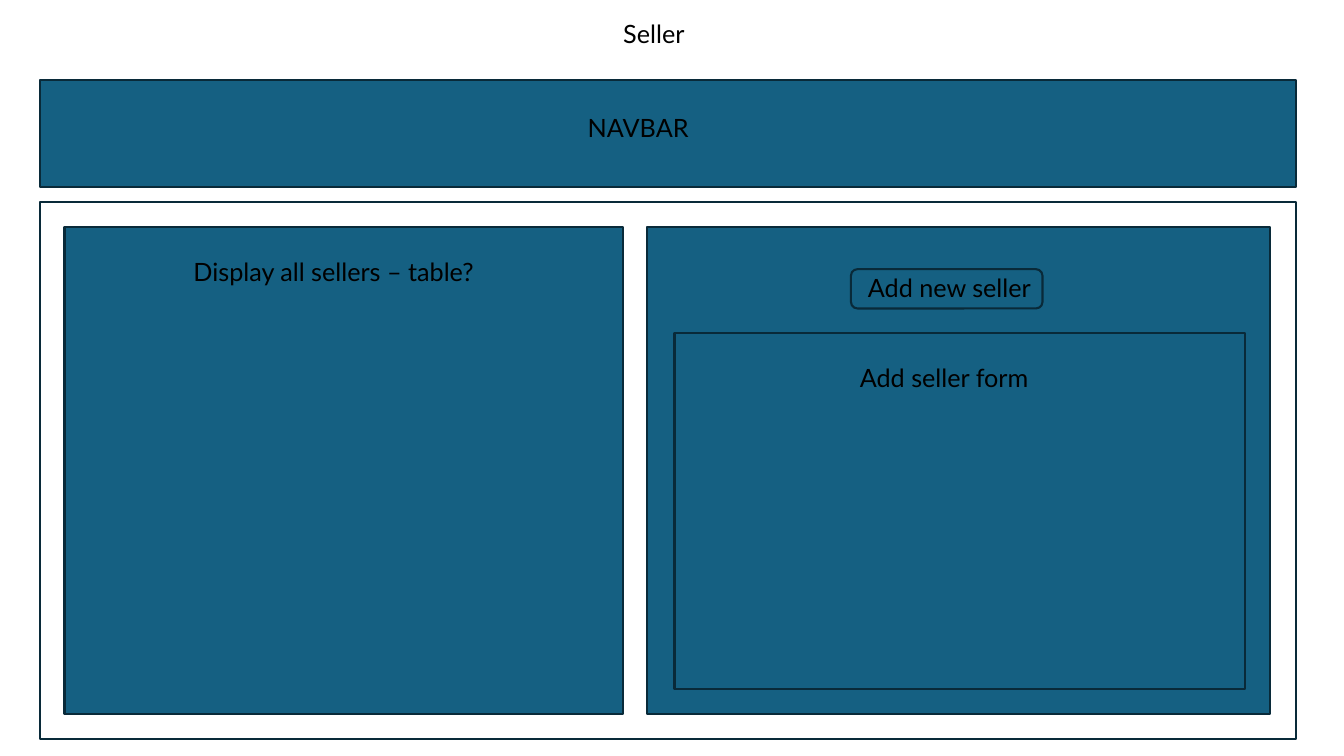
"""Build the wireframe slide of the seller page."""
from pptx import Presentation
from pptx.dml.color import RGBColor
from pptx.enum.shapes import MSO_SHAPE
from pptx.enum.text import MSO_ANCHOR, MSO_AUTO_SIZE, PP_ALIGN
from pptx.util import Inches, Pt

FONT = "Lato"
INK = "000000"
PANEL = "156082"
OUTLINE = "092A39"
LABEL_HEIGHT = 0.4


def paint(color_format, value):
    """Set a colour from a hex string."""
    color_format.rgb = RGBColor.from_string(value)


def add_panel(page, left, top, width, height, fill=PANEL, kind=MSO_SHAPE.RECTANGLE):
    """Draw an outlined panel, hollow when fill is None."""
    panel = page.shapes.add_shape(
        kind, Inches(left), Inches(top), Inches(width), Inches(height))
    panel.shadow.inherit = False
    if fill is None:
        panel.fill.background()
    else:
        panel.fill.solid()
        paint(panel.fill.fore_color, fill)
    paint(panel.line.color, OUTLINE)
    panel.line.width = Pt(1.5)


def write_label(box, text, align):
    """Write one line of formatted text into a box."""
    frame = box.text_frame
    frame.word_wrap = True
    frame.auto_size = MSO_AUTO_SIZE.SHAPE_TO_FIT_TEXT
    frame.vertical_anchor = MSO_ANCHOR.TOP
    para = frame.paragraphs[0]
    para.alignment = align
    span = para.add_run()
    span.text = text
    span.font.name = FONT
    span.font.size = Pt(18)
    paint(span.font.color, INK)


def add_label(page, text, left, top, width, align=PP_ALIGN.LEFT):
    """Add a text box with one line of text."""
    box = page.shapes.add_textbox(
        Inches(left), Inches(top), Inches(width), Inches(LABEL_HEIGHT))
    write_label(box, text, align)


def set_title(page, text, left, top, width):
    """Move the title placeholder into place and fill it."""
    title = page.shapes.title
    title.left, title.top = Inches(left), Inches(top)
    title.width, title.height = Inches(width), Inches(LABEL_HEIGHT)
    write_label(title, text, PP_ALIGN.CENTER)


def main():
    """Build and save the deck."""
    deck = Presentation()
    deck.slide_width, deck.slide_height = Inches(13.33), Inches(7.5)
    page = deck.slides.add_slide(deck.slide_layouts[5])
    set_title(page, "Seller", 4.97, 0.13, 3.03)

    add_panel(page, 0.4, 0.79, 12.45, 1.07)
    add_label(page, "NAVBAR", 2.4, 1.07, 7.86, PP_ALIGN.CENTER)

    add_panel(page, 0.4, 2, 12.45, 5.33, fill=None)
    add_panel(page, 0.64, 2.25, 5.54, 4.83)
    add_label(page, "Display all sellers – table?", 1.82, 2.49, 3.15)

    add_panel(page, 6.42, 2.25, 6.18, 4.83)
    add_panel(page, 8.44, 2.67, 1.9, 0.39, kind=MSO_SHAPE.ROUNDED_RECTANGLE)
    add_label(page, "Add new seller", 8.51, 2.65, 1.9)
    add_panel(page, 6.69, 3.3, 5.66, 3.54)
    add_label(page, "Add seller form", 8.43, 3.55, 2.06)

    deck.save("out.pptx")


if __name__ == "__main__":
    main()
